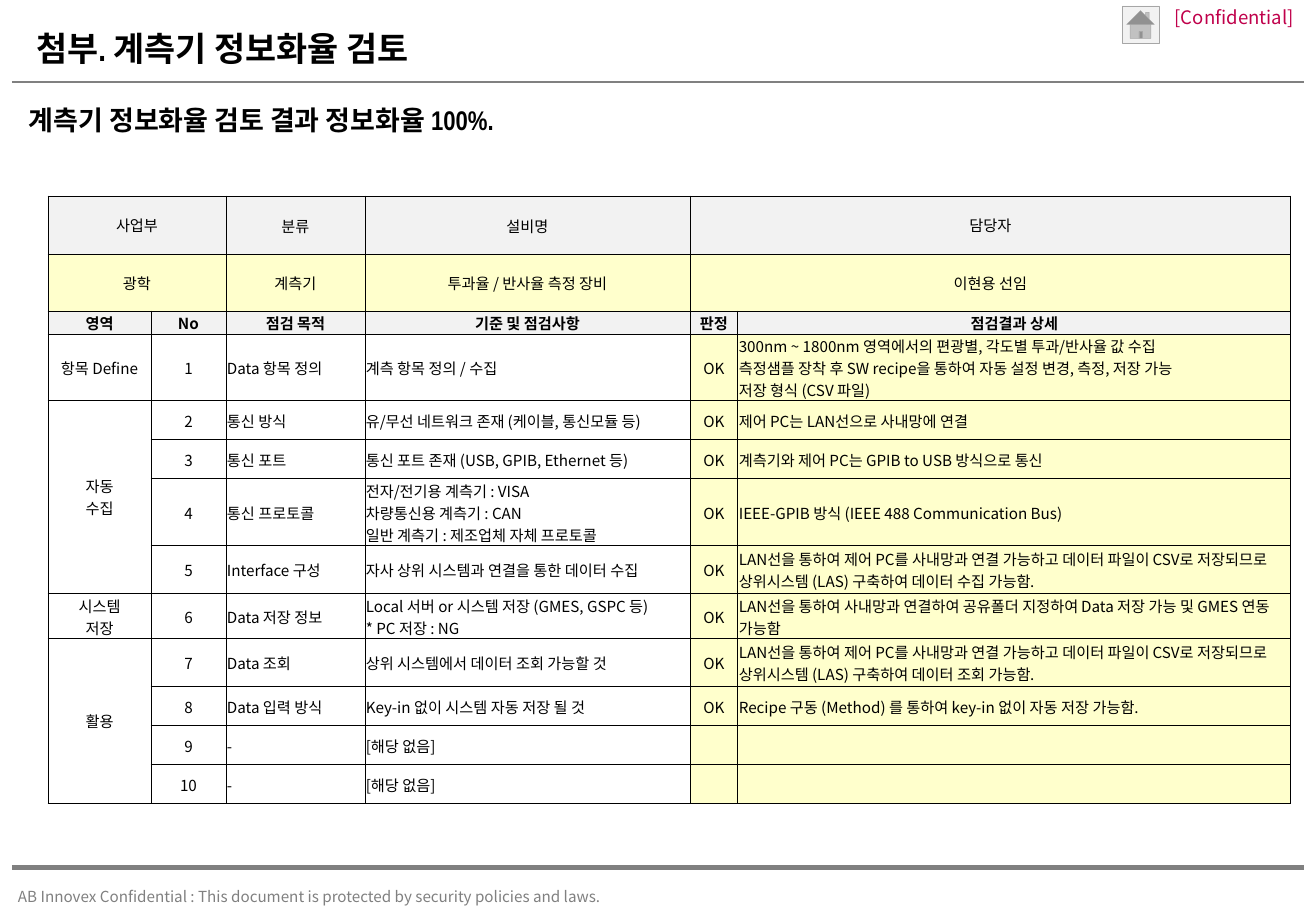
from itertools import pairwise

from lxml.etree import SubElement
from pptx import Presentation
from pptx.dml.color import RGBColor
from pptx.enum.shapes import MSO_CONNECTOR, MSO_SHAPE
from pptx.enum.text import MSO_ANCHOR, PP_ALIGN
from pptx.oxml.ns import qn
from pptx.util import Emu, Pt

COLORS = {
    "black": "000000", "gray": "808080", "edge": "A6A6A6",
    "head": "F2F2F2", "note": "FFFFCC", "red": "C0004B",
}
SANS = "Noto Sans CJK KR"
NARROW = "Arial Narrow"
COLS = [48, 151, 226, 365, 690, 738, 1291]
ROWS = [196, 254, 311, 334, 401, 440, 479, 546, 594, 639, 687, 726, 765, 804]
SPANS = [(0, 0, 0, 1), (0, 4, 0, 5), (1, 0, 1, 1), (1, 4, 1, 5), (4, 0, 7, 0), (9, 0, 12, 0)]
CELLS = [
    ["사업부", "", "분류", "설비명", "담당자", ""],
    ["광학", "", "계측기", "투과율 / 반사율 측정 장비", "이현용 선임", ""],
    ["영역", "No", "점검 목적", "기준 및 점검사항", "판정", "점검결과 상세"],
    ["항목 Define", "1", "Data 항목 정의", "계측 항목 정의 / 수집", "OK",
     "300nm ~ 1800nm 영역에서의 편광별, 각도별 투과/반사율 값 수집\n"
     "측정샘플 장착 후 SW recipe을 통하여 자동 설정 변경, 측정, 저장 가능\n저장 형식 (CSV 파일)"],
    ["자동 수집", "2", "통신 방식", "유/무선 네트워크 존재 (케이블, 통신모듈 등)", "OK",
     "제어 PC는 LAN선으로 사내망에 연결"],
    ["", "3", "통신 포트", "통신 포트 존재 (USB, GPIB, Ethernet 등)", "OK",
     "계측기와 제어 PC는 GPIB to USB 방식으로 통신"],
    ["", "4", "통신 프로토콜",
     "전자/전기용 계측기 : VISA\n차량통신용 계측기 : CAN\n일반 계측기 : 제조업체 자체 프로토콜", "OK",
     "IEEE-GPIB 방식 (IEEE 488 Communication Bus)"],
    ["", "5", "Interface 구성", "자사 상위 시스템과 연결을 통한 데이터 수집", "OK",
     "LAN선을 통하여 제어 PC를 사내망과 연결 가능하고 데이터 파일이 CSV로 "
     "저장되므로 상위시스템 (LAS) 구축하여 데이터 수집 가능함."],
    ["시스템\n저장", "6", "Data 저장 정보",
     "Local 서버 or 시스템 저장 (GMES, GSPC 등)\n* PC 저장 : NG", "OK",
     "LAN선을 통하여 사내망과 연결하여 공유폴더 지정하여 Data 저장 가능 및 GMES 연동 가능함"],
    ["활용", "7", "Data 조회", "상위 시스템에서 데이터 조회 가능할 것", "OK",
     "LAN선을 통하여 제어 PC를 사내망과 연결 가능하고 데이터 파일이 CSV로 "
     "저장되므로 상위시스템 (LAS) 구축하여 데이터 조회 가능함."],
    ["", "8", "Data 입력 방식", "Key-in 없이 시스템 자동 저장 될 것", "OK",
     "Recipe 구동 (Method) 를 통하여 key-in 없이 자동 저장 가능함."],
    ["", "9", "-", "[해당 없음]", "", ""],
    ["", "10", "-", "[해당 없음]", "", ""],
]


def px(n):
    """Turn pixels into EMU."""
    return Emu(round(n * 914400 / 121.5))


def rgb(name):
    """Look up a named colour."""
    return RGBColor.from_string(COLORS[name])


class Page:
    """Hold the style and the current slide."""

    def __init__(self, deck):
        """Add a blank slide."""
        self.shapes = deck.slides.add_slide(deck.slide_layouts[6]).shapes

    def label(self, para, text, size, color="black", bold=False, face=SANS, align=PP_ALIGN.LEFT):
        """Fill and style one paragraph."""
        para.text = text
        para.alignment = align
        font = para.font
        font.size, font.bold, font.name = Pt(size), bold, face
        font.color.rgb = rgb(color)
        base = para._p.pPr.find(qn("a:defRPr"))
        SubElement(base, qn("a:ea"), typeface=SANS)

    def text(self, box, words, size, pad=(0, 0), anchor=MSO_ANCHOR.MIDDLE, **style):
        """Add a text box."""
        frame = self.shapes.add_textbox(*map(px, box)).text_frame
        frame.word_wrap = True
        frame.vertical_anchor = anchor
        frame.margin_left = frame.margin_right = px(pad[0])
        frame.margin_top = frame.margin_bottom = px(pad[1])
        self.label(frame.paragraphs[0], words, size, **style)

    def rule(self, y, width):
        """Add a line across the page."""
        line = self.shapes.add_connector(MSO_CONNECTOR.STRAIGHT, px(12), px(y), px(1304), px(y))
        line.line.color.rgb = rgb("gray")
        line.line.width = Pt(width)
        SubElement(line._element.spPr, qn("a:effectLst"))

    def home(self, box):
        """Add the home button."""
        icon = self.shapes.add_shape(MSO_SHAPE.ACTION_BUTTON_HOME, *map(px, box))
        icon.shadow.inherit = False
        icon.fill.solid()
        icon.fill.fore_color.rgb = rgb("head")
        icon.line.color.rgb = rgb("edge")
        icon.line.width = Pt(0.25)

    def frame(self, cell):
        """Draw the four cell borders."""
        props = cell._tc.get_or_add_tcPr()
        for side in "LRTB":
            edge = SubElement(props, qn(f"a:ln{side}"), w=str(Pt(0.5)))
            fill = SubElement(edge, qn("a:solidFill"))
            SubElement(fill, qn("a:srgbClr"), val=COLORS["black"])

    def cell(self, cell, row, col, words):
        """Style one table cell by its place."""
        self.frame(cell)
        if row < 3 or col > 3:
            cell.fill.solid()
            cell.fill.fore_color.rgb = rgb("head" if row in (0, 2) else "note")
        else:
            cell.fill.background()
        wide = cell.is_merge_origin
        cell.margin_left = cell.margin_right = px(35 if wide else 1)
        cell.margin_top = px(18 if wide else 1)
        cell.margin_bottom = px(18 if wide else 0)
        cell.vertical_anchor = MSO_ANCHOR.MIDDLE
        mid = row < 3 or col in (0, 1, 4)
        self.label(cell.text_frame.paragraphs[0], words, 9, bold=row == 2,
                   align=PP_ALIGN.CENTER if mid else PP_ALIGN.LEFT)

    def table(self):
        """Add the check table."""
        box = COLS[0], ROWS[0], COLS[-1] - COLS[0], ROWS[-1] - ROWS[0]
        grid = self.shapes.add_table(len(CELLS), len(CELLS[0]), *map(px, box)).table
        grid.first_row = grid.horz_banding = False
        for col, (left, right) in zip(grid.columns, pairwise(COLS)):
            col.width = px(right - left)
        for row, (top, low) in zip(grid.rows, pairwise(ROWS)):
            row.height = px(low - top)
        for top, left, low, right in SPANS:
            grid.cell(top, left).merge(grid.cell(low, right))
        for r, line in enumerate(CELLS):
            for c, words in enumerate(line):
                self.cell(grid.cell(r, c), r, c, words)


def main():
    """Build and save the slide."""
    deck = Presentation()
    deck.slide_width, deck.slide_height = px(1316), px(911)
    page = Page(deck)
    page.text((18, 881, 616, 30), "AB Innovex Confidential : This document is protected "
              "by security policies and laws.", 9, color="gray")
    page.text((1156, 0, 138, 34), "[Confidential]", 11, color="red", align=PP_ALIGN.RIGHT)
    page.rule(82, 0.75)
    page.rule(868, 3)
    page.text((24, 22, 1185, 53), "첨부. 계측기 정보화율 검토", 20,
              pad=(12, 6), bold=True, face=NARROW)
    page.text((17, 98, 1283, 45), "계측기 정보화율 검토 결과 정보화율 100%.", 16,
              pad=(12, 6), anchor=MSO_ANCHOR.TOP, bold=True, face=NARROW)
    page.table()
    page.home((1122, 6, 37, 37))
    deck.save("out.pptx")


if __name__ == "__main__":
    main()
